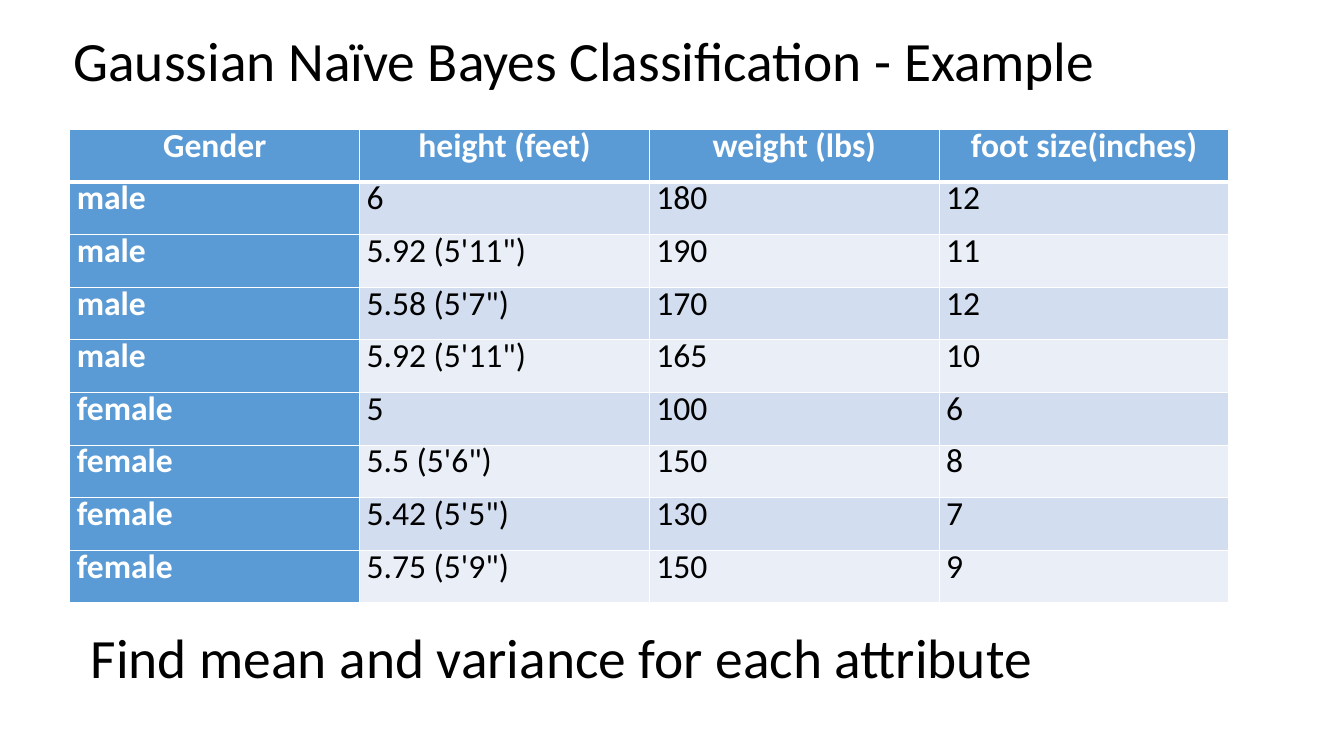
from lxml import etree
from pptx import Presentation
from pptx.dml.color import RGBColor
from pptx.enum.text import MSO_ANCHOR, MSO_AUTO_SIZE, PP_ALIGN
from pptx.oxml.ns import qn
from pptx.util import Pt

MIDDLE = MSO_ANCHOR.MIDDLE
LEFT, CENTER = PP_ALIGN.LEFT, PP_ALIGN.CENTER
NO_FIT = MSO_AUTO_SIZE.NONE

FONT = "Calibri"
COLORS = {
    "text": "000000",
    "white": "FFFFFF",
    "header": "5B9BD5",
    "odd_row": "D2DEEF",
    "even_row": "EAEFF7",
}
TITLE_ONLY = 5

HEADINGS = ("Gender", "height (feet)", "weight (lbs)", "foot size(inches)")
PEOPLE = (
    ("male", "6", "180", "12"),
    ("male", "5.92 (5'11\")", "190", "11"),
    ("male", "5.58 (5'7\")", "170", "12"),
    ("male", "5.92 (5'11\")", "165", "10"),
    ("female", "5", "100", "6"),
    ("female", "5.5 (5'6\")", "150", "8"),
    ("female", "5.42 (5'5\")", "130", "7"),
    ("female", "5.75 (5'9\")", "150", "9"),
)


def color(name):
    return RGBColor.from_string(COLORS[name])


def add_span(para, text, size, color_name, bold=False):
    span = para.add_run()
    span.text = text
    span.font.name = FONT
    span.font.size = Pt(size)
    span.font.bold = bold
    span.font.color.rgb = color(color_name)


def fill_line(shape, box, text, spacing):
    """Place a one-line text shape in its box."""
    shape.left, shape.top, shape.width, shape.height = (Pt(v) for v in box)
    frame = shape.text_frame
    frame.word_wrap = True
    frame.auto_size = NO_FIT
    frame.vertical_anchor = MIDDLE
    para = frame.paragraphs[0]
    para.alignment = LEFT
    para.line_spacing = spacing
    add_span(para, text, 39.6, "text")


def add_border(cell, side, width):
    properties = cell._tc.get_or_add_tcPr()
    line = etree.SubElement(properties, qn(f"a:ln{side}"), w=str(Pt(width)))
    fill = etree.SubElement(line, qn("a:solidFill"))
    etree.SubElement(fill, qn("a:srgbClr"), val=COLORS["white"])


def style_cell(cell, text, row, column):
    is_label = row == 0 or column == 0
    cell.margin_left = cell.margin_right = Pt(5)
    cell.margin_top = cell.margin_bottom = Pt(2.2)
    cell.vertical_anchor = MIDDLE

    # Borders, with a thick rule under the header
    widths = {"L": 1, "R": 1, "T": 3 if row == 1 else 1, "B": 3 if row == 0 else 1}
    for side, width in widths.items():
        add_border(cell, side, width)

    # Header row and first column solid, the rest banded
    band = "odd_row" if row % 2 else "even_row"
    cell.fill.solid()
    cell.fill.fore_color.rgb = color("header" if is_label else band)

    para = cell.text_frame.paragraphs[0]
    para.alignment = CENTER if row == 0 else LEFT
    para.line_spacing = Pt(15.2)
    add_span(para, text, 24, "white" if is_label else "text", bold=is_label)


def add_people_table(page, box):
    rows = (HEADINGS,) + PEOPLE
    left, top, width, height = box
    table = page.shapes.add_table(
        len(rows), len(HEADINGS), Pt(left), Pt(top), Pt(width), Pt(height)
    ).table
    for table_row in table.rows:
        table_row.height = Pt(height / len(rows))
    for row, texts in enumerate(rows):
        for column, text in enumerate(texts):
            style_cell(table.cell(row, column), text, row, column)


def build_example(page):
    # Training data
    add_people_table(page, (49.9, 92.4, 828, 338.4))

    # Task below the table
    fill_line(page.shapes.title, (57.6, 447.8, 882, 48.2),
              "Find mean and variance for each attribute", 0.9)

    # Heading above the table
    heading = page.shapes.add_textbox(0, 0, 0, 0)
    fill_line(heading, (45.4, 23, 882, 48.2),
              "Gaussian Naïve Bayes Classification - Example", 0.8)


def main():
    deck = Presentation()
    deck.slide_width, deck.slide_height = Pt(960), Pt(540)
    page = deck.slides.add_slide(deck.slide_layouts[TITLE_ONLY])
    build_example(page)
    deck.save("out.pptx")


if __name__ == "__main__":
    main()
